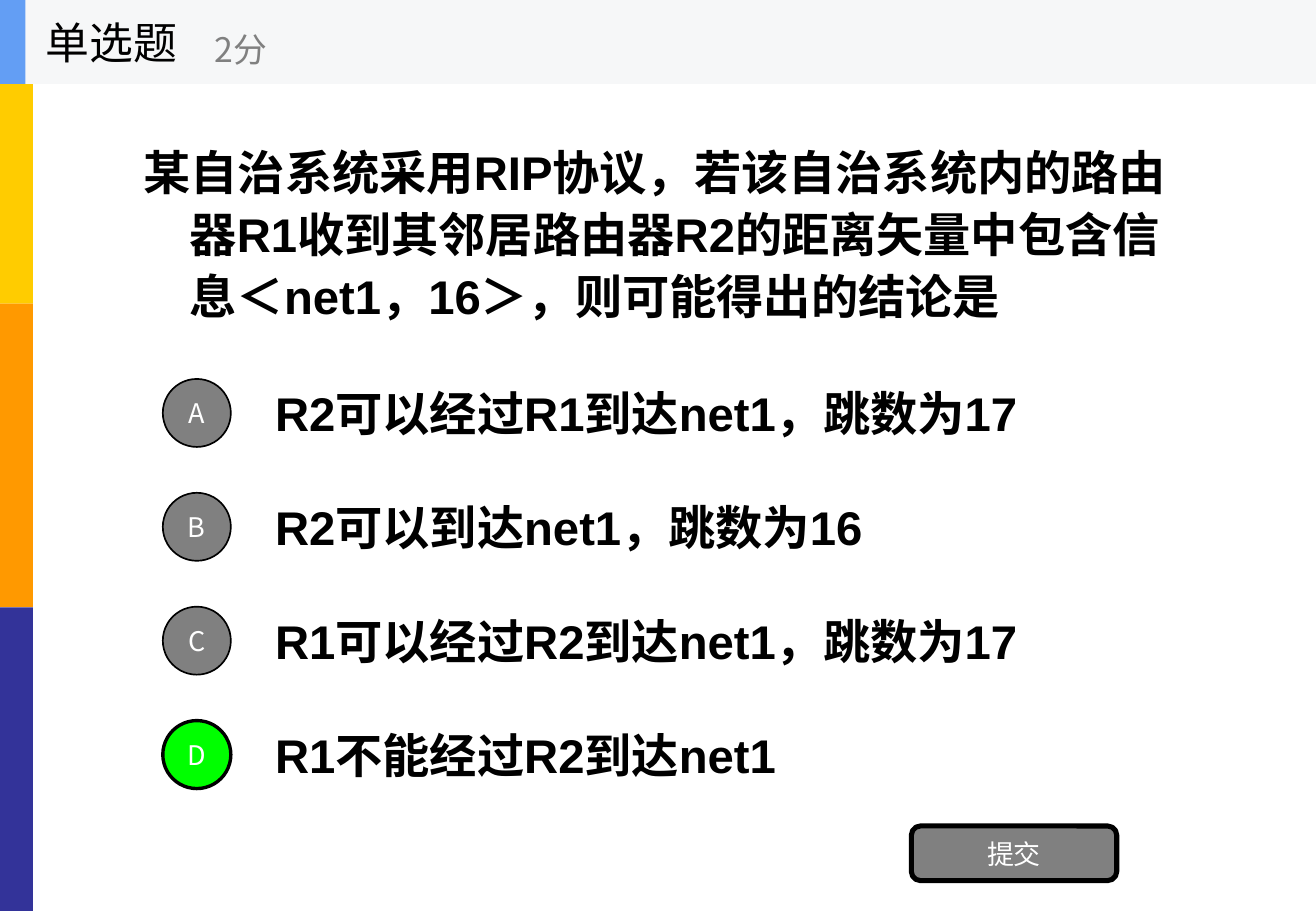
from dataclasses import dataclass

from lxml import etree
from pptx import Presentation
from pptx.dml.color import RGBColor
from pptx.enum.shapes import MSO_SHAPE
from pptx.enum.text import MSO_ANCHOR, PP_ALIGN
from pptx.oxml.ns import qn
from pptx.shapes.autoshape import Shape
from pptx.util import Inches, Pt

RECT, OVAL, ROUNDED = MSO_SHAPE.RECTANGLE, MSO_SHAPE.OVAL, MSO_SHAPE.ROUNDED_RECTANGLE
MIDDLE = MSO_ANCHOR.MIDDLE
LEFT, CENTER = PP_ALIGN.LEFT, PP_ALIGN.CENTER
WIDTH, HEIGHT = 10.83, 7.5


@dataclass(frozen=True)
class Theme:
    latin: str = "Arial"
    cjk: str = "Noto Sans CJK SC"
    ink: str = "000000"
    paper: str = "FFFFFF"
    grey: str = "808080"
    correct: str = "00FF00"
    header: str = "F6F7F8"
    accent: str = "639EF4"
    side_bands: tuple[str, ...] = ("FFCC00", "FF9900", "333399")
    body_size: int = 28
    title_size: int = 26
    score_size: int = 20
    label_size: int = 16


@dataclass(frozen=True)
class Box:
    left: float
    top: float
    width: float
    height: float

    def emu(self) -> tuple[int, ...]:
        return tuple(Inches(v) for v in (self.left, self.top, self.width, self.height))


@dataclass(frozen=True)
class TextStyle:
    size: int
    color: str
    font: str
    bold: bool = False
    align: PP_ALIGN = LEFT


@dataclass(frozen=True)
class Option:
    letter: str
    answer: str
    correct: bool = False


THEME = Theme()
BODY = TextStyle(THEME.body_size, THEME.ink, THEME.latin, bold=True)
LABEL = TextStyle(THEME.label_size, THEME.paper, THEME.cjk, align=CENTER)
TITLE = TextStyle(THEME.title_size, THEME.ink, THEME.cjk)
SCORE = TextStyle(THEME.score_size, THEME.grey, THEME.cjk)

QUESTION = ("某自治系统采用RIP协议，若该自治系统内的路由器R1收到其邻居路由器R2的"
            "距离矢量中包含信息＜net1，16＞，则可能得出的结论是")
OPTIONS = (
    Option("A", "R2可以经过R1到达net1，跳数为17"),
    Option("B", "R2可以到达net1，跳数为16"),
    Option("C", "R1可以经过R2到达net1，跳数为17"),
    Option("D", "R1不能经过R2到达net1", correct=True),
)

# Grid: shares of the slide
HEADER_HEIGHT = 0.69
BAND_WIDTH = WIDTH * 0.025
BAND_HEIGHT = HEIGHT / len(THEME.side_bands)
OPTIONS_TOP = 3.05
OPTION_PITCH = HEIGHT / 8
OPTION_HEIGHT = 0.7
BADGE_LEFT, BADGE_SIZE = 1.34, 0.56

deck = Presentation()
deck.slide_width, deck.slide_height = Inches(WIDTH), Inches(HEIGHT)
slide = deck.slides.add_slide(deck.slide_layouts[6])


def write(shape: Shape, text: str, style: TextStyle) -> None:
    frame = shape.text_frame
    frame.word_wrap = True
    frame.vertical_anchor = MIDDLE
    paragraph = frame.paragraphs[0]
    paragraph.alignment = style.align
    run = paragraph.add_run()
    run.text = text
    formats = {"name": style.font, "size": Pt(style.size), "bold": style.bold}
    for attribute, value in formats.items():
        setattr(run.font, attribute, value)
    run.font.color.rgb = RGBColor.from_string(style.color)
    east_asian = etree.SubElement(run.font._element, qn("a:ea"))
    east_asian.set("typeface", THEME.cjk)


def add_text(box: Box, text: str, style: TextStyle) -> Shape:
    text_box = slide.shapes.add_textbox(*box.emu())
    write(text_box, text, style)
    return text_box


def add_block(kind: MSO_SHAPE, box: Box, fill: str, border: float = 0) -> Shape:
    block = slide.shapes.add_shape(kind, *box.emu())
    block.shadow.inherit = False
    block.fill.solid()
    block.fill.fore_color.rgb = RGBColor.from_string(fill)
    if border:
        block.line.color.rgb = RGBColor.from_string(THEME.ink)
        block.line.width = Pt(border)
    else:
        block.line.fill.background()
    return block


def add_button(kind: MSO_SHAPE, box: Box, fill: str, border: float, label: str) -> None:
    button = add_block(kind, box, fill, border)
    frame = button.text_frame
    for side in ("margin_left", "margin_right", "margin_top", "margin_bottom"):
        setattr(frame, side, 0)
    write(button, label, LABEL)


# Side bands
for row, color in enumerate(THEME.side_bands):
    add_block(RECT, Box(0, row * BAND_HEIGHT, BAND_WIDTH, BAND_HEIGHT), color)

# Question with a hanging indent
question = add_text(Box(WIDTH * 0.1, HEADER_HEIGHT, WIDTH * 0.8, 2.34), QUESTION, BODY)
question.text_frame.margin_top = Inches(0.13)
question_paragraph = question.text_frame.paragraphs[0]
question_paragraph.line_spacing = 1.1
indent = question_paragraph._p.get_or_add_pPr()
indent.set("marL", str(Inches(0.38)))
indent.set("indent", str(-Inches(0.38)))

# Answer options
for row, option in enumerate(OPTIONS):
    top = OPTIONS_TOP + row * OPTION_PITCH
    add_text(Box(WIDTH * 0.2, top, WIDTH * 0.7, OPTION_HEIGHT), option.answer, BODY)
    badge = Box(BADGE_LEFT, top + (OPTION_HEIGHT - BADGE_SIZE) / 2, BADGE_SIZE, BADGE_SIZE)
    fill, border = (THEME.correct, 2) if option.correct else (THEME.grey, 1)
    add_button(OVAL, badge, fill, border, option.letter)

# Submit button
add_button(ROUNDED, Box(7.5, 6.8, 1.69, 0.45), THEME.grey, 3, "提交")

# Header
add_block(RECT, Box(0, 0, WIDTH, HEADER_HEIGHT), THEME.header)
add_block(RECT, Box(0, 0, 0.21, HEADER_HEIGHT), THEME.accent)
add_text(Box(0.28, 0, 2.08, HEADER_HEIGHT), "单选题", TITLE)
add_text(Box(1.67, 0.12, 2.5, 0.56), "2分", SCORE)

deck.save("out.pptx")
